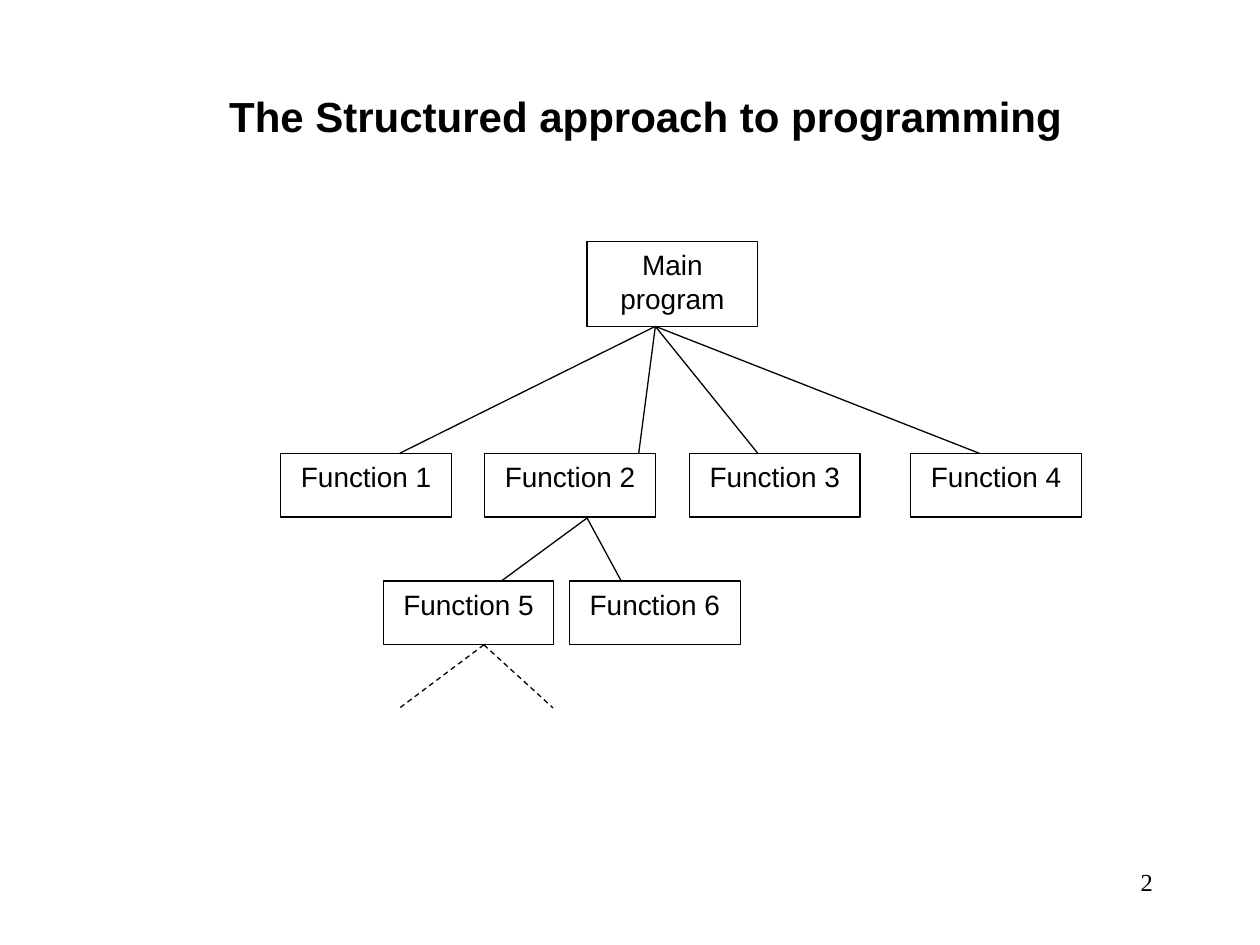
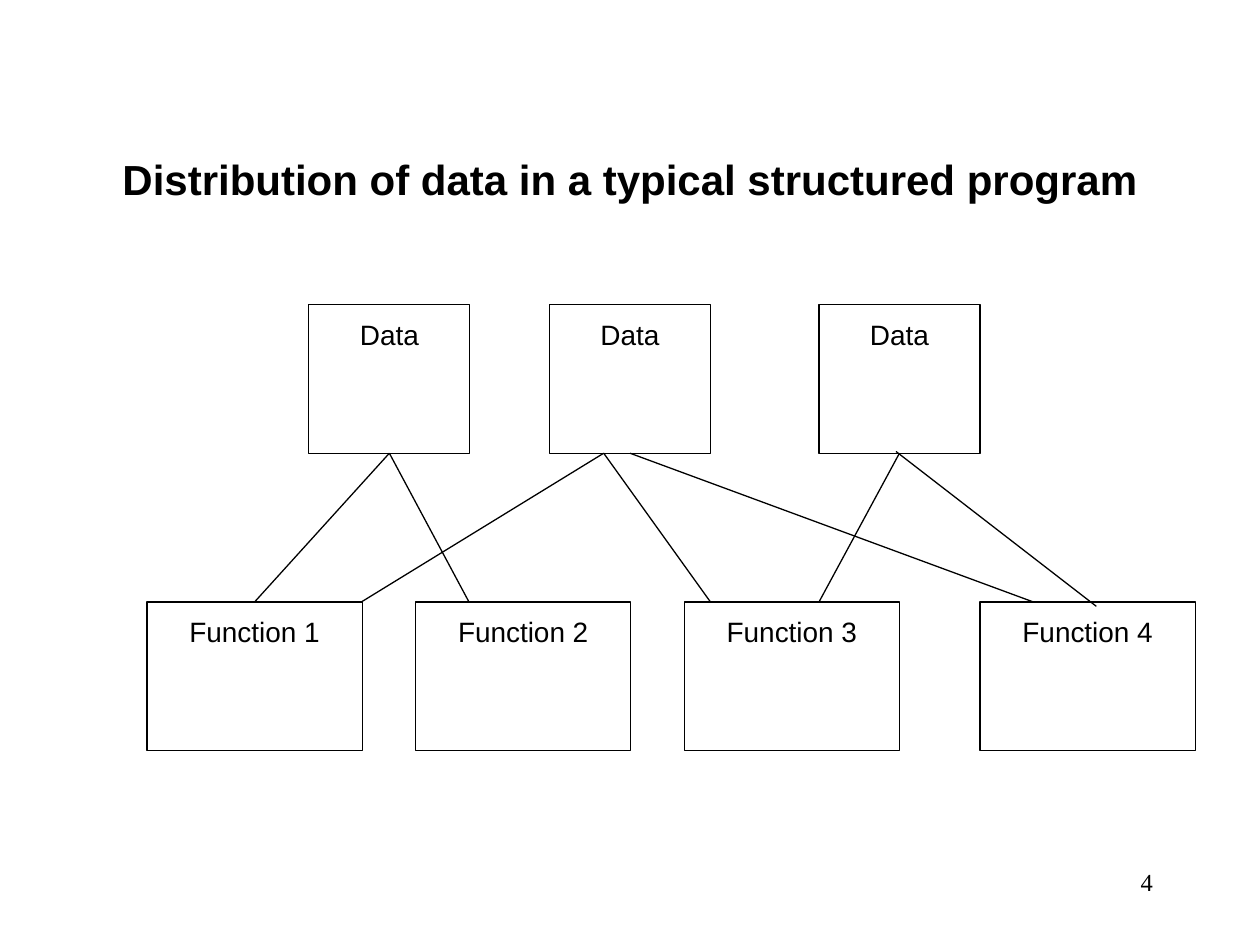
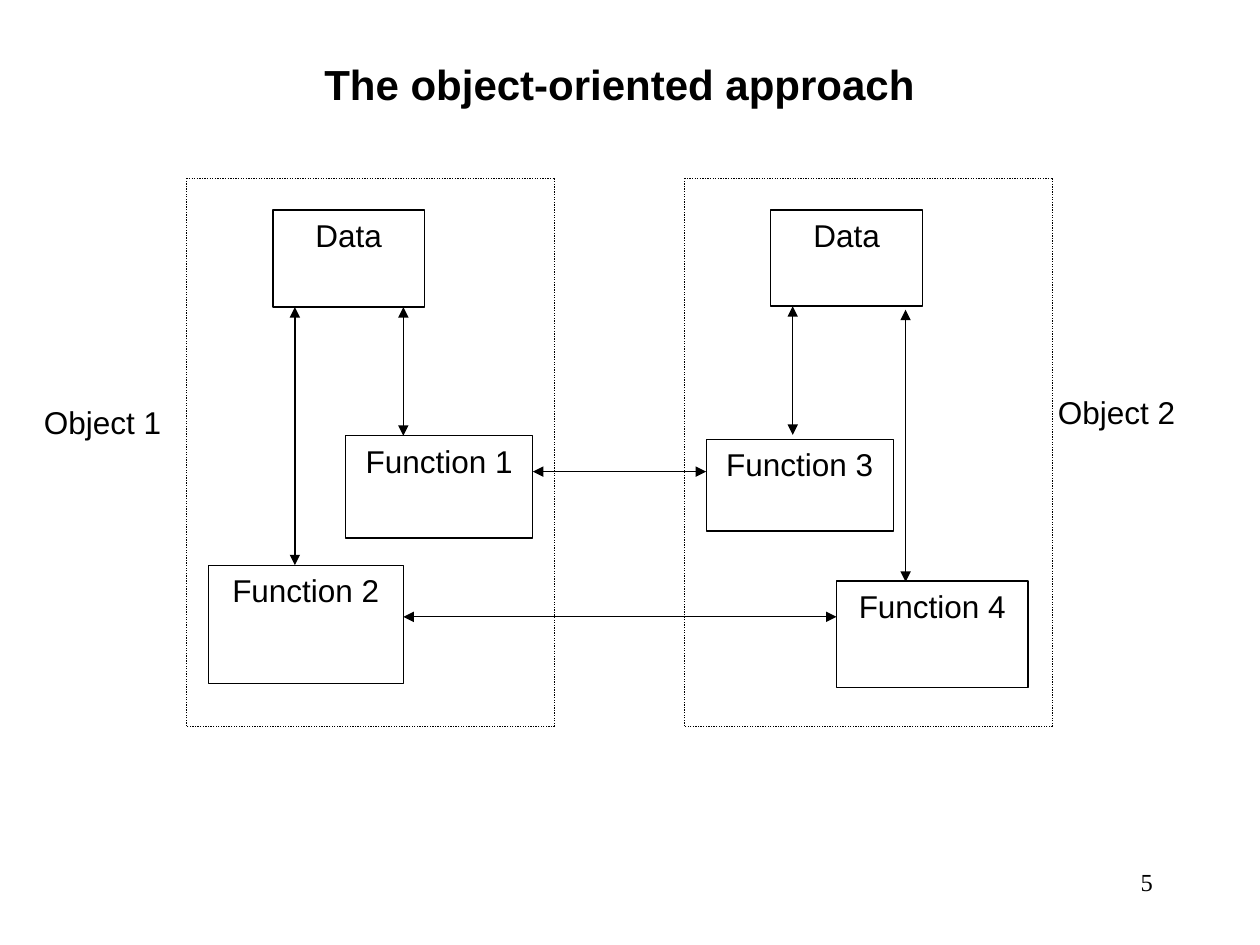
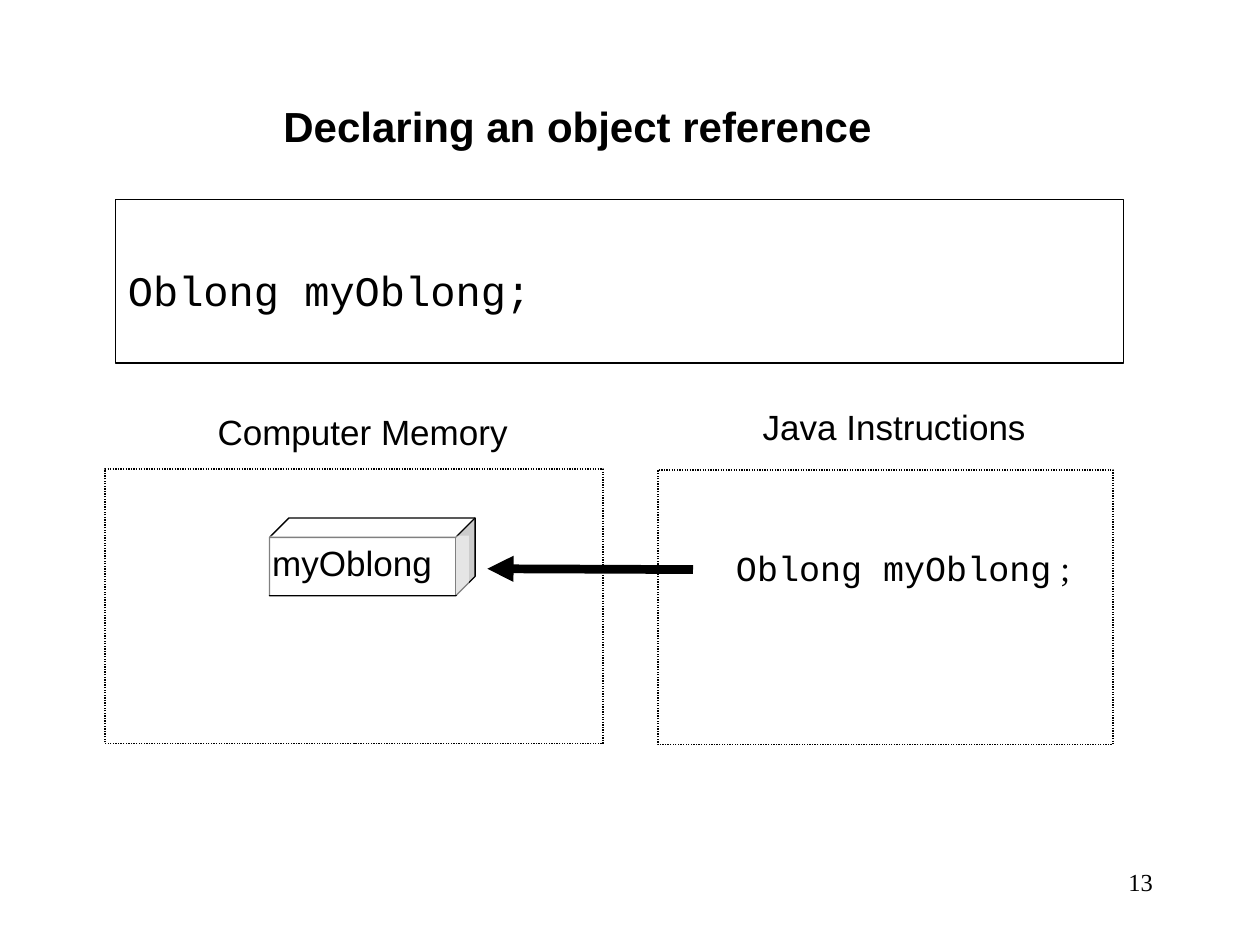
"""Build four slides on structured and object-oriented programming."""
from pptx import Presentation
from pptx.dml.color import RGBColor
from pptx.enum.dml import MSO_LINE
from pptx.enum.shapes import MSO_CONNECTOR, MSO_SHAPE
from pptx.enum.text import MSO_ANCHOR, PP_ALIGN
from pptx.oxml.ns import qn
from pptx.oxml.xmlchemy import OxmlElement
from pptx.util import Pt

RECT, CUBE = MSO_SHAPE.RECTANGLE, MSO_SHAPE.CUBE
STRAIGHT = MSO_CONNECTOR.STRAIGHT
DASH, DOT = MSO_LINE.DASH, MSO_LINE.ROUND_DOT
LEFT, CENTER, RIGHT, JUSTIFY = PP_ALIGN.LEFT, PP_ALIGN.CENTER, PP_ALIGN.RIGHT, PP_ALIGN.JUSTIFY
TOP = MSO_ANCHOR.TOP
COLORS = {"ink": "000000", "paper": "FFFFFF"}
INK, PAPER = (RGBColor.from_string(COLORS[key]) for key in ("ink", "paper"))
SANS, CODE, SERIF = "Arial", "Courier New", "Times New Roman"


def add_box(slide, bounds, runs=(), size=16, align=CENTER, filled=True, outlined=True,
            dash=None, kind=RECT, side=7.2, top=3.6, bold=False):
    """Add an outlined or plain box with top-anchored text."""
    box = slide.shapes.add_shape(kind, *map(Pt, bounds))
    box.shadow.inherit = False
    if filled:
        box.fill.solid()
        box.fill.fore_color.rgb = PAPER
    else:
        box.fill.background()
    if outlined:
        box.line.color.rgb = INK
        box.line.width = Pt(0.75)
        if dash:
            box.line.dash_style = dash
    else:
        box.line.fill.background()
    frame = box.text_frame
    frame.word_wrap = True
    frame.vertical_anchor = TOP
    frame.margin_left = frame.margin_right = Pt(side)
    frame.margin_top, frame.margin_bottom = Pt(top), Pt(3.6)
    paragraph = frame.paragraphs[0]
    paragraph.alignment = align
    for text, font in runs:
        run = paragraph.add_run()
        run.text = text
        run.font.name, run.font.size, run.font.bold = font, Pt(size), bold
        run.font.color.rgb = INK
    return box


def add_line(slide, start, end, width=0.75, dash=None, arrows=()):
    """Add a straight line with triangles at the named ends."""
    line = slide.shapes.add_connector(STRAIGHT, *map(Pt, (*start, *end)))
    line.line.color.rgb = INK
    line.line.width = Pt(width)
    if dash:
        line.line.dash_style = dash
    properties = line._element.spPr
    for end_tag in arrows:
        arrow = OxmlElement(end_tag)
        arrow.set("type", "triangle")
        properties.find(qn("a:ln")).append(arrow)
    properties.append(OxmlElement("a:effectLst"))


deck = Presentation()
deck.slide_width, deck.slide_height = Pt(720), Pt(540)

pages = [
    ("2", "The Structured approach to programming", (48, 48, 642, 36)),
    ("4", "Distribution of data in a typical structured program", (60, 84, 600, 36)),
    ("5", "The object-oriented approach", (24, 30, 660, 36)),
    ("13", "Declaring an object reference", (66, 54, 528, 36)),
]
slides = []
for number, title, title_bounds in pages:
    slide = deck.slides.add_slide(deck.slide_layouts[6])
    slide.background.fill.solid()
    slide.background.fill.fore_color.rgb = PAPER
    add_box(slide, title_bounds, [(title, SANS)], 24, filled=False, outlined=False, bold=True)
    add_box(slide, (516, 492, 150, 36), [(number, SERIF)], 14, RIGHT,
            filled=False, outlined=False)
    slides.append(slide)
structured, distribution, objects, reference = slides

add_box(structured, (335.5, 138, 97.5, 48.5), [("Main program", SANS)], filled=False, side=0)
function_spots = [(160.5, 259), (277, 259), (394, 259), (520.5, 259), (219, 332), (325.5, 332)]
for index, (left, top) in enumerate(function_spots, 1):
    add_box(structured, (left, top, 97.5, 36.5), [(f"Function {index}", SANS)], filled=False)
branches = [
    ((374.5, 186.5), 259, (228.5, 365, 433, 559.5), None),
    ((335.5, 296), 332, (286.5, 355), None),
    ((276.5, 368.5), 404.5, (228.5, 316), DASH),
]
for parent, child_top, child_centers, dash in branches:
    for child_center in child_centers:
        add_line(structured, parent, (child_center, child_top), dash=dash)

for left in (176.5, 314, 468):
    add_box(distribution, (left, 174, 92, 85), [("Data", SANS)], top=7.2)
for index, left in enumerate((84, 237.5, 391, 560), 1):
    add_box(distribution, (left, 344, 123, 85), [(f"Function {index}", SANS)], top=7.2)
data_links = [(222.5, 145.5), (222.5, 268), (345, 206.5), (360, 590.5), (514, 468), (345, 406)]
for data_x, function_x in data_links:
    add_line(distribution, (data_x, 259), (function_x, 344))
add_line(distribution, (512, 258), (626.5, 346.5))

for name, bounds in [("Object 1", (18, 227, 86.5, 62.5)), ("Object 2", (597.5, 221, 86.5, 62.5))]:
    add_box(objects, bounds, [(name, SANS)], 18, LEFT, outlined=False)
members = [
    ("Data", (156, 120, 86.5, 55.5)),
    ("Function 1", (197.5, 249, 107, 58.5)),
    ("Function 2", (119, 323, 111.5, 67.5)),
    ("Data", (440.5, 120, 86.5, 55)),
    ("Function 3", (403.5, 251, 107, 52.5)),
    ("Function 4", (478, 332, 109.5, 61)),
]
for name, bounds in members:
    add_box(objects, bounds, [(name, SANS)], 18)
for left in (106.5, 391):
    right, top, bottom = left + 210.5, 102, 415
    corners = [(left, top), (right, top), (right, bottom), (left, bottom)]
    for start, end in zip(corners, corners[1:] + corners[:1]):
        add_line(objects, start, end, dash=DOT)
exchanges = [
    ((230.5, 249), (230.5, 175.5)),
    ((168.5, 323), (168.5, 175.5)),
    ((517.5, 332.5), (517.5, 177)),
    ((453, 248.5), (453, 175)),
    ((304.5, 269.5), (403.5, 269.5)),
    ((230.5, 352.5), (478, 352.5)),
]
for start, end in exchanges:
    add_line(objects, start, end, arrows=("a:headEnd", "a:tailEnd"))

add_box(reference, (66, 114, 576, 93.5), [("Oblong myOblong;", CODE)], 24, LEFT,
        filled=False, top=37)
add_box(reference, (60, 268, 284.5, 157), dash=DOT)
add_box(reference, (377.5, 309, 257, 78.5), [("   Oblong myOblong", CODE), (" ;", SERIF)],
        20, LEFT, outlined=False)
add_box(reference, (82, 231, 250.5, 34), [("Computer Memory", SANS)], 20, outlined=False)
add_box(reference, (420, 228, 182, 34), [("Java Instructions", SANS)], 20, outlined=False)
add_box(reference, (154, 296, 117.5, 44.5), kind=CUBE)
cube_label = add_box(reference, (148.5, 306, 119.5, 34), [("myOblong", SANS)], 20, JUSTIFY,
                     outlined=False)
alpha = OxmlElement("a:alpha")
alpha.set("val", "50000")
cube_label._element.spPr.find(qn("a:solidFill"))[0].append(alpha)
add_box(reference, (376, 268.5, 260, 157), filled=False, dash=DOT)
add_line(reference, (396, 325.5), (278.5, 325), 5, arrows=("a:tailEnd",))

deck.save("out.pptx")
